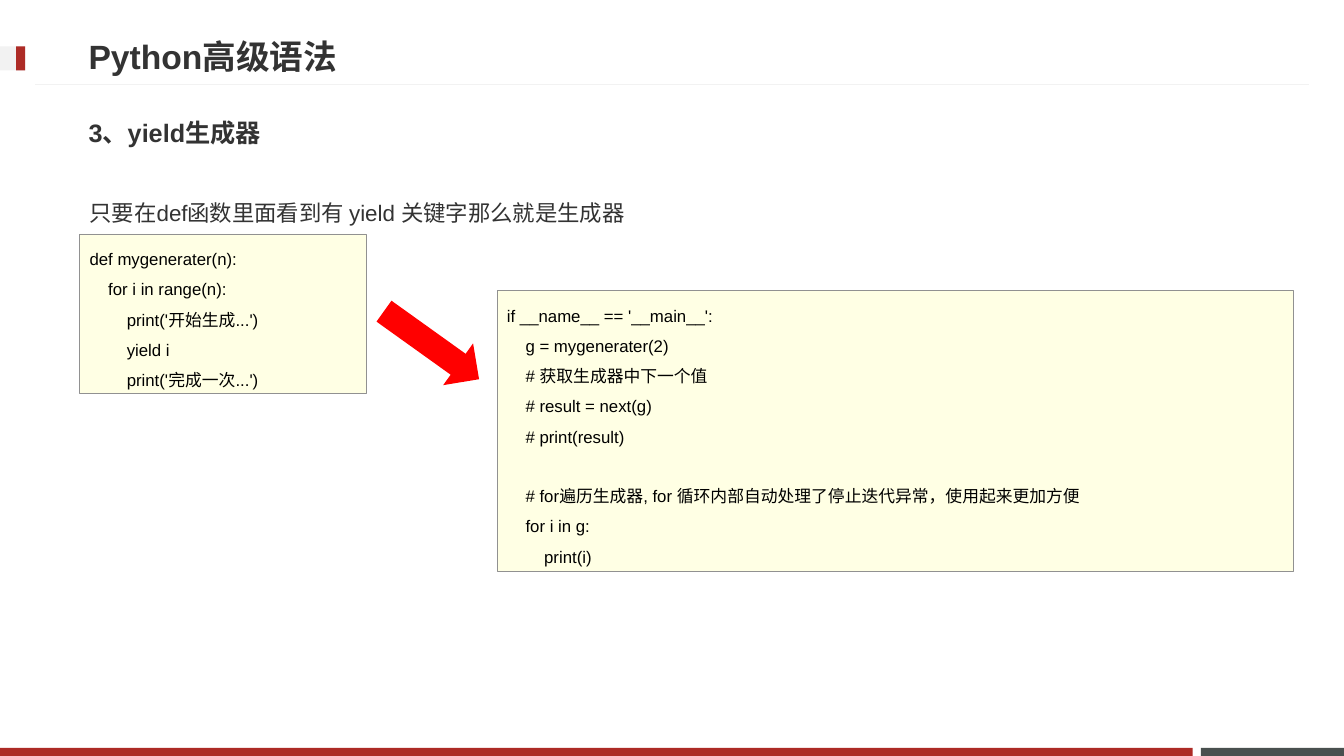
from dataclasses import dataclass

from lxml.etree import SubElement
from pptx import Presentation
from pptx.dml.color import RGBColor
from pptx.enum.shapes import MSO_CONNECTOR, MSO_SHAPE
from pptx.enum.text import MSO_ANCHOR, PP_ALIGN
from pptx.oxml.ns import qn
from pptx.shapes.autoshape import Shape
from pptx.slide import Slide
from pptx.text.text import _Paragraph as Paragraph
from pptx.util import Inches, Pt

COLORS = {
    "red": "AD2B26",
    "slate": "49504F",
    "pale": "F2F2F2",
    "text": "333333",
    "code": "000000",
    "code_fill": "FFFFE4",
    "code_border": "919191",
    "arrow": "FF0000",
}
FONT = "Arial"
CODE_LINE_PITCH = Pt(21)


@dataclass
class Box:
    left: float
    top: float
    width: float
    height: float
    color: str
    kind: MSO_SHAPE = MSO_SHAPE.RECTANGLE
    rotation: float = 0


@dataclass
class Label:
    text: str
    left: float
    top: float
    width: float
    height: float
    size: int
    bold: bool = True
    anchor: MSO_ANCHOR = MSO_ANCHOR.MIDDLE
    line_spacing: float = 1.0


@dataclass
class Listing:
    box: Box
    code: str


DECORATIONS = [
    Box(11.91, 7.42, 1.42, 0.08, "slate"),
    Box(0, 7.42, 11.83, 0.08, "red"),
    Box(0, 0.46, 0.25, 0.24, "pale"),
    Box(0.16, 0.46, 0.09, 0.24, "red"),
]
ARROW = Box(3.7, 3.17, 1.16, 0.51, "arrow", MSO_SHAPE.RIGHT_ARROW, 35.6)

LABELS = [
    Label("Python高级语法", 0.78, 0.27, 9.59, 0.57, 24),
    Label("3、yield生成器", 0.78, 1.03, 11.76, 0.57, 18),
    Label("只要在def函数里面看到有 yield 关键字那么就是生成器",
          0.79, 1.79, 11.76, 5.44, 16, False, MSO_ANCHOR.TOP, 1.5),
]

LISTINGS = [
    Listing(Box(0.79, 2.32, 2.84, 1.58, "code_fill"), """\
def mygenerater(n):
    for i in range(n):
        print('开始生成...')
        yield i
        print('完成一次...')"""),
    Listing(Box(4.93, 2.88, 7.9, 2.79, "code_fill"), """\
if __name__ == '__main__':
    g = mygenerater(2)
    # 获取生成器中下一个值
    # result = next(g)
    # print(result)

    # for遍历生成器, for 循环内部自动处理了停止迭代异常，使用起来更加方便
    for i in g:
        print(i)"""),
]


def rgb(name: str) -> RGBColor:
    return RGBColor.from_string(COLORS[name])


def style_paragraph(paragraph: Paragraph, size: int, color: str,
                    bold: bool, line_spacing: float) -> None:
    paragraph.alignment = PP_ALIGN.LEFT
    paragraph.line_spacing = line_spacing
    paragraph.font.name = FONT
    paragraph.font.size = Pt(size)
    paragraph.font.bold = bold
    paragraph.font.color.rgb = rgb(color)


def add_box(slide: Slide, box: Box) -> Shape:
    shape = slide.shapes.add_shape(
        box.kind, Inches(box.left), Inches(box.top), Inches(box.width), Inches(box.height))
    shape.shadow.inherit = False
    shape.fill.solid()
    shape.fill.fore_color.rgb = rgb(box.color)
    shape.line.fill.background()
    shape.rotation = box.rotation
    return shape


def add_rule(slide: Slide) -> None:
    rule = slide.shapes.add_connector(
        MSO_CONNECTOR.STRAIGHT, Inches(12.98), Inches(0.84), Inches(0.35), Inches(0.84))
    rule.line.color.rgb = rgb("pale")
    rule.line.width = Pt(0.75)
    SubElement(rule._element.spPr, qn("a:effectLst"))


def add_label(slide: Slide, label: Label) -> None:
    shape = slide.shapes.add_textbox(
        Inches(label.left), Inches(label.top), Inches(label.width), Inches(label.height))
    frame = shape.text_frame
    frame.word_wrap = True
    frame.vertical_anchor = label.anchor
    frame.text = label.text
    style_paragraph(frame.paragraphs[0], label.size, "text", label.bold, label.line_spacing)


def add_listing(slide: Slide, listing: Listing) -> None:
    shape = add_box(slide, listing.box)
    shape.line.color.rgb = rgb("code_border")
    shape.line.width = Pt(0.25)
    frame = shape.text_frame
    frame.word_wrap = True
    frame.vertical_anchor = MSO_ANCHOR.TOP
    # An empty code line becomes space before the next paragraph
    for block_index, block in enumerate(listing.code.split("\n\n")):
        for line_index, line in enumerate(block.splitlines()):
            first = block_index == line_index == 0
            paragraph = frame.paragraphs[0] if first else frame.add_paragraph()
            paragraph.text = line
            style_paragraph(paragraph, 12, "code", False, 1.5)
            if block_index and line_index == 0:
                paragraph.space_before = CODE_LINE_PITCH


def main() -> None:
    presentation = Presentation()
    presentation.slide_width = Inches(13.33)
    presentation.slide_height = Inches(7.5)
    slide = presentation.slides.add_slide(presentation.slide_layouts[6])

    # Footer bars, header marker and header rule
    for decoration in DECORATIONS:
        add_box(slide, decoration)
    add_rule(slide)

    # Headings and explanation
    for label in LABELS:
        add_label(slide, label)

    # Code listings and the arrow between them
    for listing in LISTINGS:
        add_listing(slide, listing)
    add_box(slide, ARROW)

    presentation.save("out.pptx")


if __name__ == "__main__":
    main()
